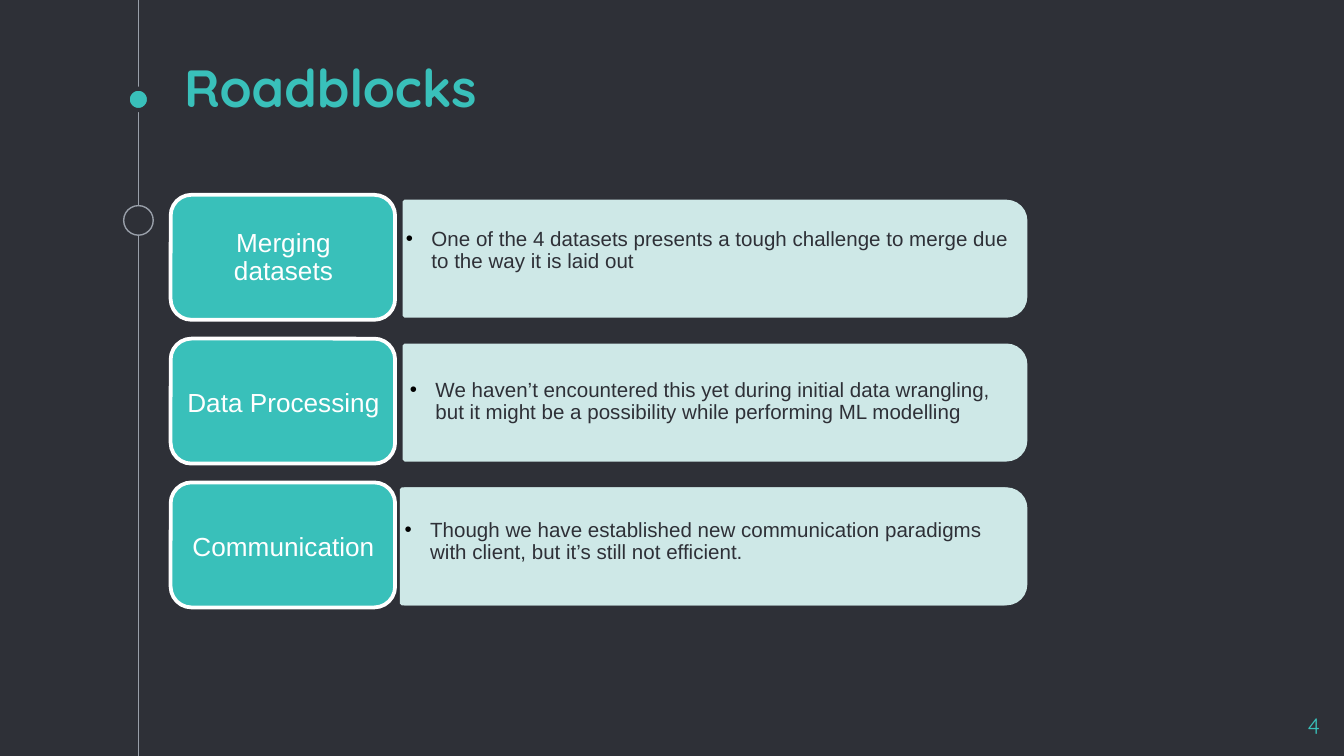
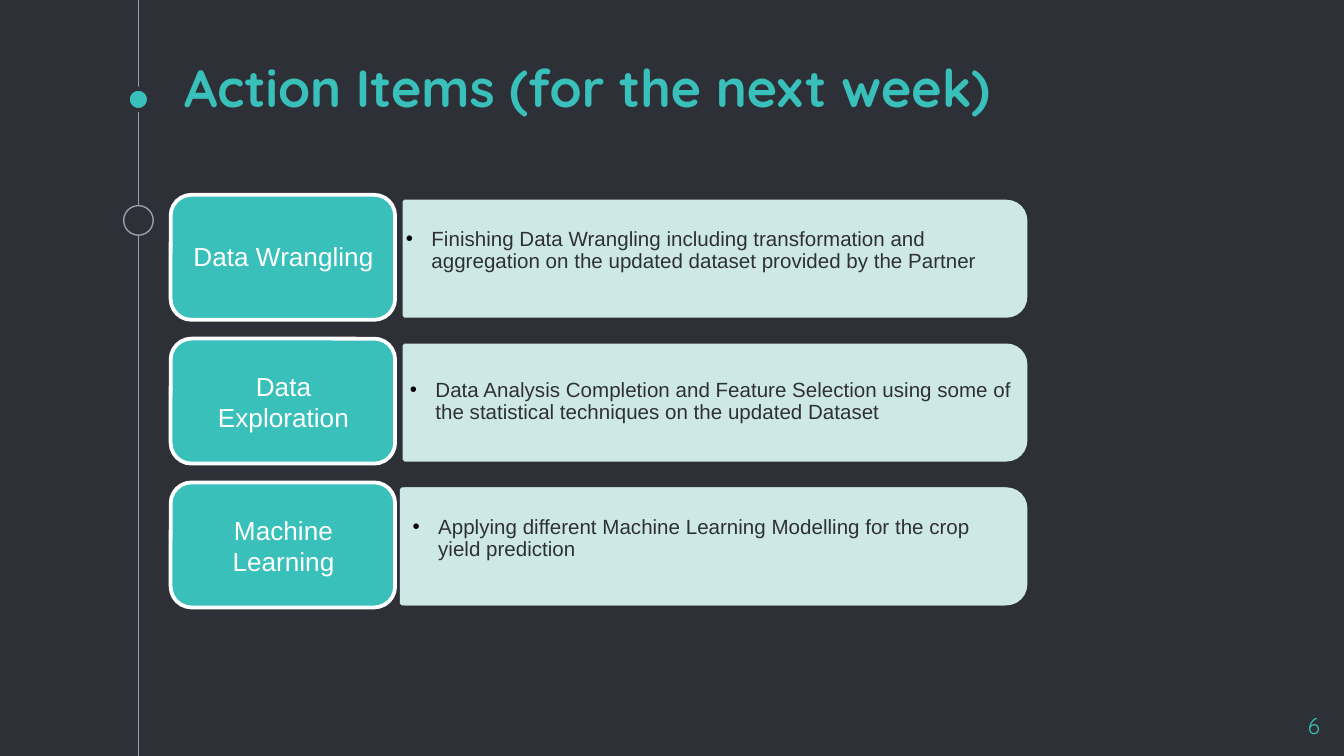
from dataclasses import dataclass
from lxml.etree import SubElement
from pptx import Presentation
from pptx.dml.color import RGBColor
from pptx.enum.shapes import MSO_CONNECTOR, MSO_SHAPE
from pptx.enum.text import MSO_ANCHOR, MSO_AUTO_SIZE, PP_ALIGN
from pptx.oxml.ns import qn
from pptx.util import Inches, Pt

DARK = RGBColor(0x2E, 0x30, 0x37)
TEAL = RGBColor(0x39, 0xC0, 0xBA)
PALE = RGBColor(0xCE, 0xE8, 0xE7)
GRAY = RGBColor(0x99, 0x9F, 0xA9)
WHITE = RGBColor(0xFF, 0xFF, 0xFF)

HEADING_FONT = "Quicksand"
BODY_FONT = "Arial"
ROW_LEFT, ROW_TOP, ROW_PITCH = 1.27, 1.45, 1.07
LABEL_WIDTH, LABEL_HEIGHT = 1.67, 0.93
BAND_LENGTH, BAND_HEIGHT = 4.62, 0.85
DETAIL_WIDTH = 4.58


@dataclass
class Row:
    """One labelled row, with offsets of its parts from the row's corner."""
    label: str
    detail: str
    detail_left: float
    detail_top: float
    detail_height: float
    band_lefts: tuple = (1.74,)
    label_inset: float = 0.07
    label_spacing: float = 1.0


def style_font(font, name, size, color, bold=False):
    """Set the name, size, colour and weight of a font."""
    font.name, font.size, font.bold = name, Pt(size), bold
    font.color.rgb = color


def set_frame(frame, anchor, horizontal, vertical):
    """Make a text frame wrap and set its anchor and insets."""
    frame.word_wrap = True
    frame.auto_size = MSO_AUTO_SIZE.NONE
    frame.vertical_anchor = anchor
    frame.margin_left = frame.margin_right = Inches(horizontal)
    frame.margin_top = frame.margin_bottom = Inches(vertical)


def add_text(page, text, left, top, width, height, anchor, insets):
    """Add a one-paragraph text box and return its paragraph."""
    box = page.shapes.add_textbox(
        Inches(left), Inches(top), Inches(width), Inches(height))
    set_frame(box.text_frame, anchor, *insets)
    para = box.text_frame.paragraphs[0]
    para.text = text
    return para


def add_filled(page, kind, left, top, width, height, fill, line, line_width):
    """Add a flat preset shape with a fill and an outline."""
    shape = page.shapes.add_shape(
        kind, Inches(left), Inches(top), Inches(width), Inches(height))
    shape.shadow.inherit = False
    shape.fill.solid()
    shape.fill.fore_color.rgb = fill
    shape.line.color.rgb = line
    shape.line.width = Pt(line_width)
    return shape


def add_rail(page, center, height):
    """Draw the vertical rail with its two round markers."""
    rail = page.shapes.add_connector(
        MSO_CONNECTOR.STRAIGHT, Inches(center), 0, Inches(center), height)
    rail.line.color.rgb = GRAY
    rail.line.width = Pt(0.75)
    SubElement(rail._element.spPr, qn("a:effectLst"))
    markers = [(0.74, 0.16, TEAL, DARK, 2.25), (1.64, 0.22, DARK, GRAY, 0.75)]
    for middle, size, fill, line, line_width in markers:
        add_filled(page, MSO_SHAPE.OVAL, center - size / 2, middle - size / 2,
                   size, size, fill, line, line_width)


def set_title(page, text, left, top, width, height):
    """Place and format the title placeholder."""
    title = page.shapes.title
    title.left, title.top = Inches(left), Inches(top)
    title.width, title.height = Inches(width), Inches(height)
    set_frame(title.text_frame, MSO_ANCHOR.BOTTOM, 0.1, 0.1)
    title.text_frame.text = text
    para = title.text_frame.paragraphs[0]
    para.alignment = PP_ALIGN.LEFT
    style_font(para.font, HEADING_FONT, 28, TEAL, True)


def add_page_number(page, number, left, top, width, height):
    """Write the page number in the lower right corner."""
    para = add_text(page, str(number), left, top, width, height,
                    MSO_ANCHOR.TOP, (0.1, 0.1))
    para.alignment = PP_ALIGN.RIGHT
    style_font(para.font, HEADING_FONT, 12, TEAL)


def add_bullet(para):
    """Give a paragraph a black bullet with a hanging indent."""
    properties = para._p.get_or_add_pPr()
    properties.set("marL", str(Inches(0.19)))
    properties.set("indent", str(Inches(-0.19)))
    color = SubElement(properties, qn("a:buClr"))
    SubElement(color, qn("a:srgbClr"), val="000000")
    SubElement(properties, qn("a:buFont"), typeface=BODY_FONT)
    SubElement(properties, qn("a:buChar"), char="\u2022")


def add_band(page, left, top):
    """Draw a band whose right corners are rounded."""
    shift = (BAND_LENGTH - BAND_HEIGHT) / 2
    band = add_filled(page, MSO_SHAPE.ROUND_2_SAME_RECTANGLE, left + shift,
                      top - shift, BAND_HEIGHT, BAND_LENGTH, PALE, PALE, 2)
    band.rotation = 90


def add_row(page, row, left, top):
    """Draw a band with its bulleted detail and the label beside it."""
    for band_left in row.band_lefts:
        add_band(page, left + band_left, top + 0.05)

    para = add_text(page, row.detail, left + row.detail_left,
                    top + row.detail_top, DETAIL_WIDTH, row.detail_height,
                    MSO_ANCHOR.MIDDLE, (0.04, 0.02))
    para.line_spacing = 0.9
    add_bullet(para)
    style_font(para.font, BODY_FONT, 11, DARK)

    add_filled(page, MSO_SHAPE.ROUNDED_RECTANGLE, left, top,
               LABEL_WIDTH, LABEL_HEIGHT, TEAL, WHITE, 2)
    para = add_text(page, row.label, left + 0.04, top + 0.05, 1.6, 0.84,
                    MSO_ANCHOR.MIDDLE, (row.label_inset, 0.04))
    para.alignment = PP_ALIGN.CENTER
    para.line_spacing = row.label_spacing
    style_font(para.font, BODY_FONT, 14, WHITE)


def add_rows_page(deck, title, rows, number):
    """Add a page with a title, the rail and a stack of labelled rows."""
    page = deck.slides.add_slide(deck.slide_layouts[5])
    add_rail(page, 1.03, deck.slide_height)
    set_title(page, title, 1.27, 0.6, 7.5, 0.38)
    for index, row in enumerate(rows):
        add_row(page, row, ROW_LEFT, ROW_TOP + index * ROW_PITCH)
    add_page_number(page, number, 9.32, 5.2, 0.6, 0.34)


ROADBLOCKS = [
    Row("Merging datasets",
        "One of the 4 datasets presents a tough challenge to merge due to "
        "the way it is laid out", 1.71, 0.15, 0.53, label_spacing=0.9),
    Row("Data Processing",
        "We haven\u2019t encountered this yet during initial data wrangling, "
        "but it might be a possibility while performing ML modelling",
        1.74, 0.13, 0.68),
    Row("Communication",
        "Though we have established new communication paradigms with client, "
        "but it\u2019s still not efficient.",
        1.7, 0.06, 0.76, band_lefts=(1.74, 1.72)),
]
ACTION_ITEMS = [
    Row("Data Wrangling",
        "Finishing Data Wrangling including transformation and aggregation "
        "on the updated dataset provided by the Partner",
        1.71, 0.15, 0.53, label_spacing=0.9),
    Row("Data Exploration",
        "Data Analysis Completion and Feature Selection using some of the "
        "statistical techniques on the updated Dataset",
        1.74, 0.13, 0.68, label_inset=0.1),
    Row("Machine Learning",
        "Applying different Machine Learning Modelling for the crop yield "
        "prediction", 1.76, 0.08, 0.68, band_lefts=(1.74, 1.72)),
]

deck = Presentation()
deck.slide_width = Inches(10)
deck.slide_height = deck.slide_width * 9 // 16
background = deck.slide_master.background.fill
background.solid()
background.fore_color.rgb = DARK
add_rows_page(deck, "Roadblocks", ROADBLOCKS, 4)
add_rows_page(deck, "Action Items (for the next week)", ACTION_ITEMS, 6)
deck.save("out.pptx")
